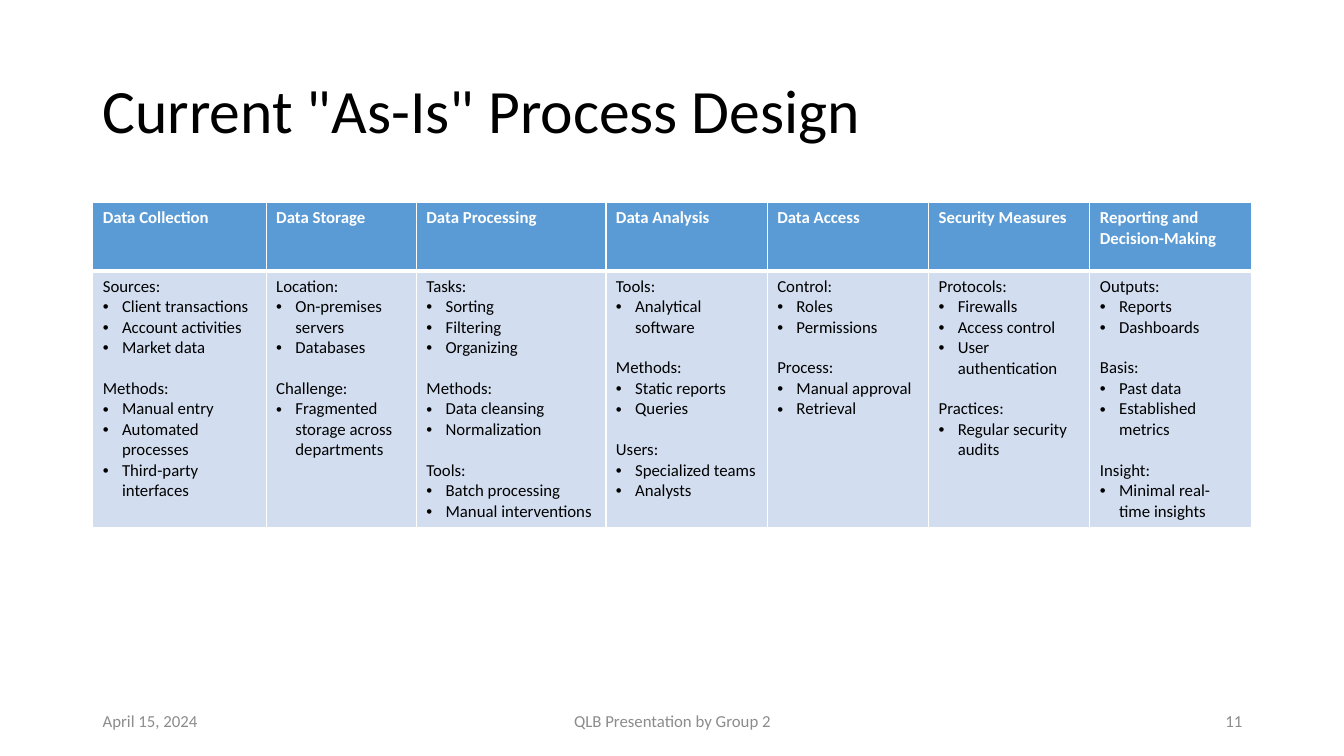
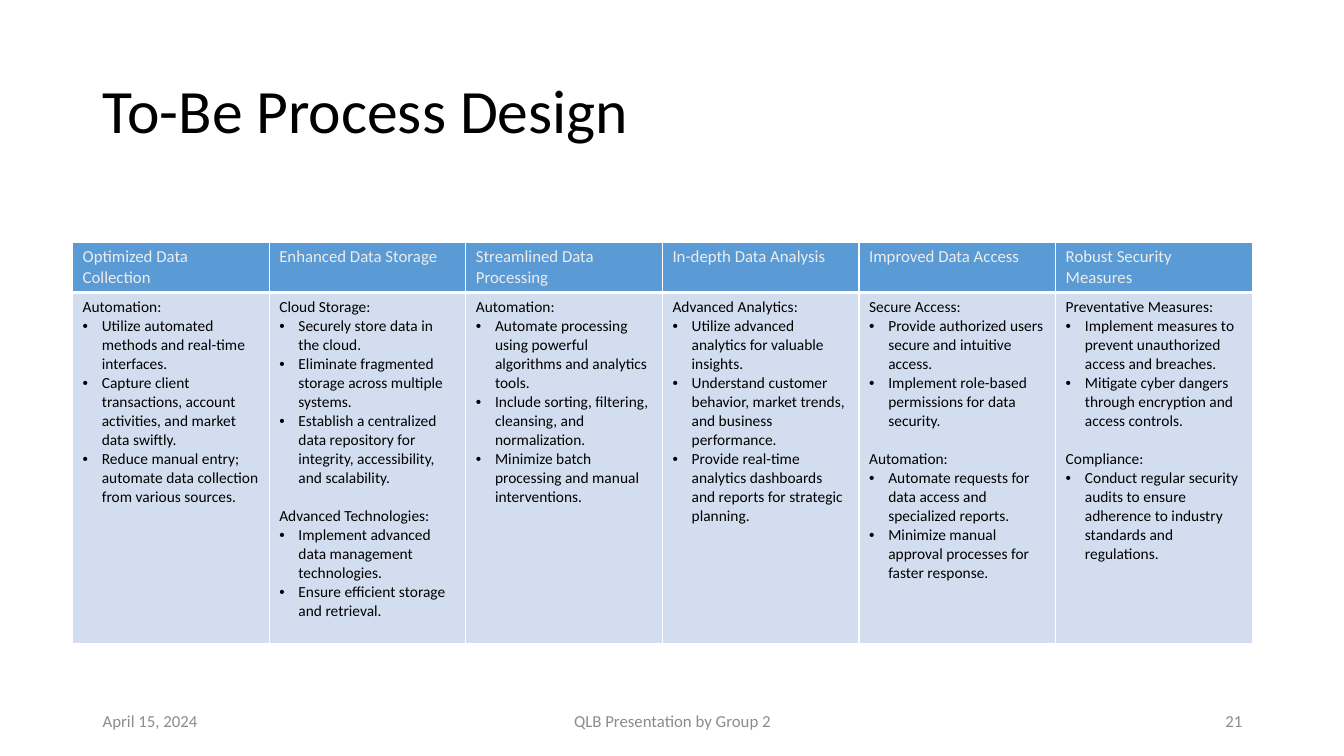
from dataclasses import dataclass

from lxml.etree import SubElement
from pptx import Presentation
from pptx.dml.color import RGBColor
from pptx.enum.text import MSO_ANCHOR, PP_ALIGN
from pptx.oxml import parse_xml
from pptx.oxml.ns import nsdecls, qn
from pptx.util import Inches, Pt


@dataclass(frozen=True)
class Theme:
    font: str = "Calibri"
    ink: str = "000000"
    white: str = "FFFFFF"
    soft_white: str = "ECECEC"
    muted: str = "8C8C8C"
    header_fill: str = "5B9BD5"
    body_fill: str = "D2DEEF"
    title_size: int = 44
    header_size: int = 12
    footer_size: int = 12
    line_factor: float = 1.22
    bullet_indent: float = 0.19
    thin: int = 1
    thick: int = 3


THEME = Theme()
DATE = "April 15, 2024"
FOOTER = "QLB Presentation by Group 2"

# Each column: heading, then (label, bullet points) groups.
AS_IS = [
    ("Data Collection", [
        ("Sources:", ["Client transactions", "Account activities", "Market data"]),
        ("Methods:", ["Manual entry", "Automated processes", "Third-party interfaces"])]),
    ("Data Storage", [
        ("Location:", ["On-premises servers", "Databases"]),
        ("Challenge:", ["Fragmented storage across departments"])]),
    ("Data Processing", [
        ("Tasks:", ["Sorting", "Filtering", "Organizing"]),
        ("Methods:", ["Data cleansing", "Normalization"]),
        ("Tools:", ["Batch processing", "Manual interventions"])]),
    ("Data Analysis", [
        ("Tools:", ["Analytical software"]),
        ("Methods:", ["Static reports", "Queries"]),
        ("Users:", ["Specialized teams", "Analysts"])]),
    ("Data Access", [
        ("Control:", ["Roles", "Permissions"]),
        ("Process:", ["Manual approval", "Retrieval"])]),
    ("Security Measures", [
        ("Protocols:", ["Firewalls", "Access control", "User authentication"]),
        ("Practices:", ["Regular security audits"])]),
    ("Reporting and Decision-Making", [
        ("Outputs:", ["Reports", "Dashboards"]),
        ("Basis:", ["Past data", "Established metrics"]),
        ("Insight:", ["Minimal real-time insights"])]),
]

TO_BE = [
    ("Optimized Data Collection", [
        ("Automation:", [
            "Utilize automated methods and real-time interfaces.",
            "Capture client transactions, account activities, and market data swiftly.",
            "Reduce manual entry; automate data collection from various sources."])]),
    ("Enhanced Data Storage", [
        ("Cloud Storage:", [
            "Securely store data in the cloud.",
            "Eliminate fragmented storage across multiple systems.",
            "Establish a centralized data repository for integrity, accessibility, "
            "and scalability."]),
        ("Advanced Technologies:", [
            "Implement advanced data management technologies.",
            "Ensure efficient storage and retrieval."])]),
    ("Streamlined Data Processing", [
        ("Automation:", [
            "Automate processing using powerful algorithms and analytics tools.",
            "Include sorting, filtering, cleansing, and normalization.",
            "Minimize batch processing and manual interventions."])]),
    ("In-depth Data Analysis", [
        ("Advanced Analytics:", [
            "Utilize advanced analytics for valuable insights.",
            "Understand customer behavior, market trends, and business performance.",
            "Provide real-time analytics dashboards and reports for strategic planning."])]),
    ("Improved Data Access", [
        ("Secure Access:", [
            "Provide authorized users secure and intuitive access.",
            "Implement role-based permissions for data security."]),
        ("Automation:", [
            "Automate requests for data access and specialized reports.",
            "Minimize manual approval processes for faster response."])]),
    ("Robust Security Measures", [
        ("Preventative Measures:", [
            "Implement measures to prevent unauthorized access and breaches.",
            "Mitigate cyber dangers through encryption and access controls."]),
        ("Compliance:", [
            "Conduct regular security audits to ensure adherence to industry "
            "standards and regulations."])]),
]


def add_run(paragraph, text, size, color, bold=False):
    run = paragraph.add_run()
    run.text = text
    run.font.name = THEME.font
    run.font.size = Pt(size)
    run.font.bold = bold
    run.font.color.rgb = RGBColor.from_string(color)


def add_label(slide, text, left, top, width, height, size, color, align=PP_ALIGN.LEFT):
    frame = slide.shapes.add_textbox(
        Inches(left), Inches(top), Inches(width), Inches(height)).text_frame
    frame.word_wrap = True
    frame.vertical_anchor = MSO_ANCHOR.MIDDLE
    paragraph = frame.paragraphs[0]
    paragraph.alignment = align
    add_run(paragraph, text, size, color)
    return paragraph


def add_bullet(paragraph):
    properties = paragraph._p.get_or_add_pPr()
    indent = Inches(THEME.bullet_indent)
    properties.set("marL", str(indent))
    properties.set("indent", str(-indent))
    SubElement(properties, qn("a:buFont"), typeface="Arial")
    SubElement(properties, qn("a:buChar"), char="•")


def style_cell(cell, fill, top, bottom):
    """Fill the cell and give it white borders; top and bottom are widths in points."""
    cell.fill.solid()
    cell.fill.fore_color.rgb = RGBColor.from_string(fill)
    widths = {"lnL": THEME.thin, "lnR": THEME.thin, "lnT": top, "lnB": bottom}
    for position, (side, width) in enumerate(widths.items()):
        border = parse_xml(
            f'<a:{side} {nsdecls("a")} w="{Pt(width)}"><a:solidFill>'
            f'<a:srgbClr val="{THEME.white}"/></a:solidFill></a:{side}>')
        cell._tc.get_or_add_tcPr().insert(position, border)


def fill_groups(cell, groups, size):
    """Write labelled bullet groups, one line of space between groups."""
    frame = cell.text_frame
    for index, (label, points) in enumerate(groups):
        heading = frame.add_paragraph() if index else frame.paragraphs[0]
        if index:
            heading.space_before = Pt(round(size * THEME.line_factor, 1))
        add_run(heading, label, size, THEME.ink)
        for point in points:
            paragraph = frame.add_paragraph()
            add_bullet(paragraph)
            add_run(paragraph, point, size, THEME.ink)


def add_process_table(slide, stages, left, top, widths, heights,
                      body_size, header_color, header_bold):
    table = slide.shapes.add_table(
        2, len(stages), Inches(left), Inches(top),
        Inches(sum(widths)), Inches(sum(heights))).table
    table.horz_banding = False
    for row, height in zip(table.rows, heights):
        row.height = Inches(height)
    for index, ((heading, groups), width) in enumerate(zip(stages, widths)):
        table.columns[index].width = Inches(width)
        header, body = table.cell(0, index), table.cell(1, index)
        style_cell(header, THEME.header_fill, THEME.thin, THEME.thick)
        style_cell(body, THEME.body_fill, THEME.thick, THEME.thin)
        add_run(header.text_frame.paragraphs[0], heading,
                THEME.header_size, header_color, header_bold)
        fill_groups(body, groups, body_size)


def add_framed_slide(deck, title, number):
    """Add a slide with the shared title and footer."""
    slide = deck.slides.add_slide(deck.slide_layouts[6])
    heading = add_label(slide, title, 0.92, 0.4, 11.5, 1.45, THEME.title_size, THEME.ink)
    heading.line_spacing = 0.9
    for text, left, width, align in (
            (DATE, 0.92, 3, PP_ALIGN.LEFT),
            (FOOTER, 4.42, 4.5, PP_ALIGN.CENTER),
            (str(number), 9.42, 3, PP_ALIGN.RIGHT)):
        add_label(slide, text, left, 6.95, width, 0.4,
                  THEME.footer_size, THEME.muted, align)
    return slide


def main():
    deck = Presentation()
    deck.slide_width, deck.slide_height = Inches(13.33), Inches(7.5)

    as_is = add_framed_slide(deck, 'Current "As-Is" Process Design', 11)
    add_process_table(as_is, AS_IS, 0.92, 2.01, [1.72, 1.49, 1.88] + [1.6] * 4,
                      (0.68, 2.54), 12, THEME.white, True)

    to_be = add_framed_slide(deck, "To-Be Process Design", 21)
    add_process_table(to_be, TO_BE, 0.72, 2.4, [1.95] * len(TO_BE),
                      (0.5, 3.48), 11, THEME.soft_white, False)

    deck.save("out.pptx")


if __name__ == "__main__":
    main()
